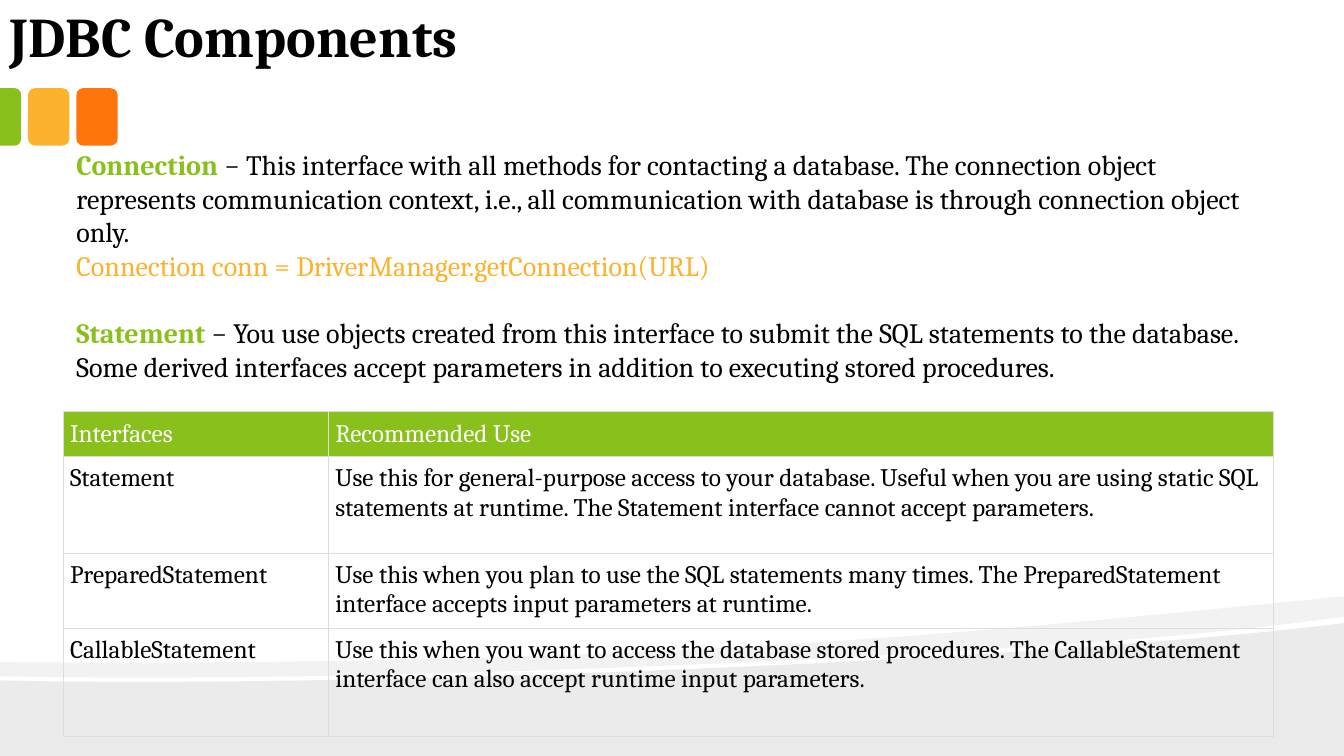
from lxml.etree import SubElement
from pptx import Presentation
from pptx.dml.color import RGBColor
from pptx.enum.shapes import MSO_SHAPE
from pptx.enum.text import MSO_ANCHOR, MSO_AUTO_SIZE, PP_ALIGN
from pptx.oxml.ns import qn
from pptx.util import Pt

PX = 6350
FONT = "Cambria"
BLACK, WHITE, GREY = "000000", "FFFFFF", "DDDDDD"
GREEN, AMBER, ORANGE = "89C01C", "FCB22C", "FE750E"

DEFINITIONS = [
    (0, [("Connection", GREEN, True),
         (" − This interface with all methods for contacting a database. The connection "
          "object represents communication context, i.e., all communication with database "
          "is through connection object only.", BLACK, False)]),
    (0, [("Connection conn = DriverManager.getConnection(URL)", AMBER, False)]),
    (24, [("Statement", GREEN, True),
          (" − You use objects created from this interface to submit the SQL statements to "
           "the database. Some derived interfaces accept parameters in addition to "
           "executing stored procedures.", BLACK, False)]),
]
INTERFACES = [
    ("Interfaces", "Recommended Use"),
    ("Statement",
     "Use this for general-purpose access to your database. Useful when you are using "
     "static SQL statements at runtime. The Statement interface cannot accept parameters."),
    ("PreparedStatement",
     "Use this when you plan to use the SQL statements many times. The PreparedStatement "
     "interface accepts input parameters at runtime."),
    ("CallableStatement",
     "Use this when you want to access the database stored procedures. The "
     "CallableStatement interface can also accept runtime input parameters."),
]


def px(*lengths):
    return [round(length * PX) for length in lengths]


def color(value):
    return RGBColor.from_string(value)


def paint(shape, value):
    shape.shadow.inherit = False
    shape.fill.solid()
    shape.fill.fore_color.rgb = color(value)
    shape.line.fill.background()


def add_run(paragraph, text, size, value, bold=False):
    run = paragraph.add_run()
    run.text = text
    run.font.name = FONT
    run.font.size = Pt(size)
    run.font.bold = bold
    run.font.color.rgb = color(value)


def bend(segments):
    first, *others = segments
    first.tag = qn("a:cubicBezTo")
    for segment in others:
        first.append(segment[0])
        segment.getparent().remove(segment)


def add_wave(slide, left, top, outline, curve_starts, opacity):
    first, *rest = [px(left + x, top + y) for x, y in outline]
    builder = slide.shapes.build_freeform(*first, scale=1)
    builder.add_line_segments(rest, close=True)
    wave = builder.convert_to_shape()
    paint(wave, BLACK)
    segments = list(wave._element.iter(qn("a:lnTo")))
    for start in curve_starts:
        bend(segments[start:start + 3])
    srgb = wave.fill._xPr.find(f".//{qn('a:srgbClr')}")
    SubElement(srgb, qn("a:alpha"), val=str(opacity * 1000))


def add_waves(slide, left, top, width, height):
    ground = [(0, 120), (507, 132), (1500, 91), (width, 38),
              (width, height), (0, height)]
    band = [(0, 94), (939, 101), (1398, 51), (width, 0),
            (width, 29), (1807, 45), (1655, 60), (1482, 71),
            (1005, 103), (372, 123), (0, 114)]
    add_wave(slide, left, top, ground, [0], 8)
    add_wave(slide, left, top, band, [0, 4, 7], 5)


def add_tabs(slide, left, top, width, height):
    tab_width = 59
    for position, value in ((width - tab_width, ORANGE), (40, AMBER)):
        tab = slide.shapes.add_shape(MSO_SHAPE.ROUNDED_RECTANGLE,
                                     *px(left + position, top, tab_width, height))
        paint(tab, value)
    edge = 30
    edge_tab = slide.shapes.add_shape(
        MSO_SHAPE.ROUND_2_SAME_RECTANGLE,
        *px(left + (edge - height) / 2, top + (height - edge) / 2, height, edge))
    edge_tab.rotation = 90
    edge_tab.adjustments[0] = 0.29
    edge_tab.adjustments[1] = 0
    paint(edge_tab, GREEN)


def add_title(slide, left, top, width, height):
    frame = slide.shapes.add_textbox(*px(left, top, width, height)).text_frame
    frame.word_wrap = True
    frame.vertical_anchor = MSO_ANCHOR.BOTTOM
    frame.margin_left, frame.margin_right = px(19, 19)
    frame.margin_top, frame.margin_bottom = px(10, 10)
    add_run(frame.paragraphs[0], "JDBC Components", 40, BLACK, True)


def add_definitions(slide, left, top, width, height):
    frame = slide.shapes.add_textbox(*px(left, top, width, height)).text_frame
    frame.word_wrap = True
    frame.auto_size = MSO_AUTO_SIZE.SHAPE_TO_FIT_TEXT
    for index, (space, runs) in enumerate(DEFINITIONS):
        paragraph = frame.add_paragraph() if index else frame.paragraphs[0]
        paragraph.alignment = PP_ALIGN.LEFT
        if space:
            paragraph.space_before = Pt(space)
        for text, value, bold in runs:
            add_run(paragraph, text, 20, value, bold)


def add_borders(cell):
    properties = cell._tc.get_or_add_tcPr()
    for side in ("lnL", "lnR", "lnT", "lnB"):
        border = SubElement(properties, qn(f"a:{side}"), w=str(Pt(0.75)))
        fill = SubElement(border, qn("a:solidFill"))
        SubElement(fill, qn("a:srgbClr"), val=GREY)


def add_interfaces(slide, left, top, width, height):
    table = slide.shapes.add_table(len(INTERFACES), 2, *px(left, top, width, height)).table
    table.first_row = table.horz_banding = False
    name_width = 379
    for column, length in zip(table.columns, px(name_width, width - name_width)):
        column.width = length
    for row, length in zip(table.rows, px(59, 138, 99, 154)):
        row.height = length
    for row_index, texts in enumerate(INTERFACES):
        for column_index, text in enumerate(texts):
            cell = table.cell(row_index, column_index)
            cell.margin_left, cell.margin_right = px(10, 10)
            cell.margin_top, cell.margin_bottom = px(11, 10)
            add_borders(cell)
            if row_index == 0:
                cell.fill.solid()
                cell.fill.fore_color.rgb = color(GREEN)
            else:
                cell.fill.background()
            add_run(cell.text_frame.paragraphs[0], text, 18,
                    BLACK if row_index else WHITE)


def main():
    presentation = Presentation()
    presentation.slide_width, presentation.slide_height = px(1920, 1080)
    slide = presentation.slides.add_slide(presentation.slide_layouts[6])
    slide.background.fill.solid()
    slide.background.fill.fore_color.rgb = color(WHITE)
    add_waves(slide, 0, 852, 1920, 228)
    add_tabs(slide, 0, 126, 168, 82)
    add_title(slide, -5, -12, 1493, 120)
    add_definitions(slide, 95, 204, 1729, 354)
    add_interfaces(slide, 90, 588, 1729, 450)
    presentation.save("out.pptx")


if __name__ == "__main__":
    main()
